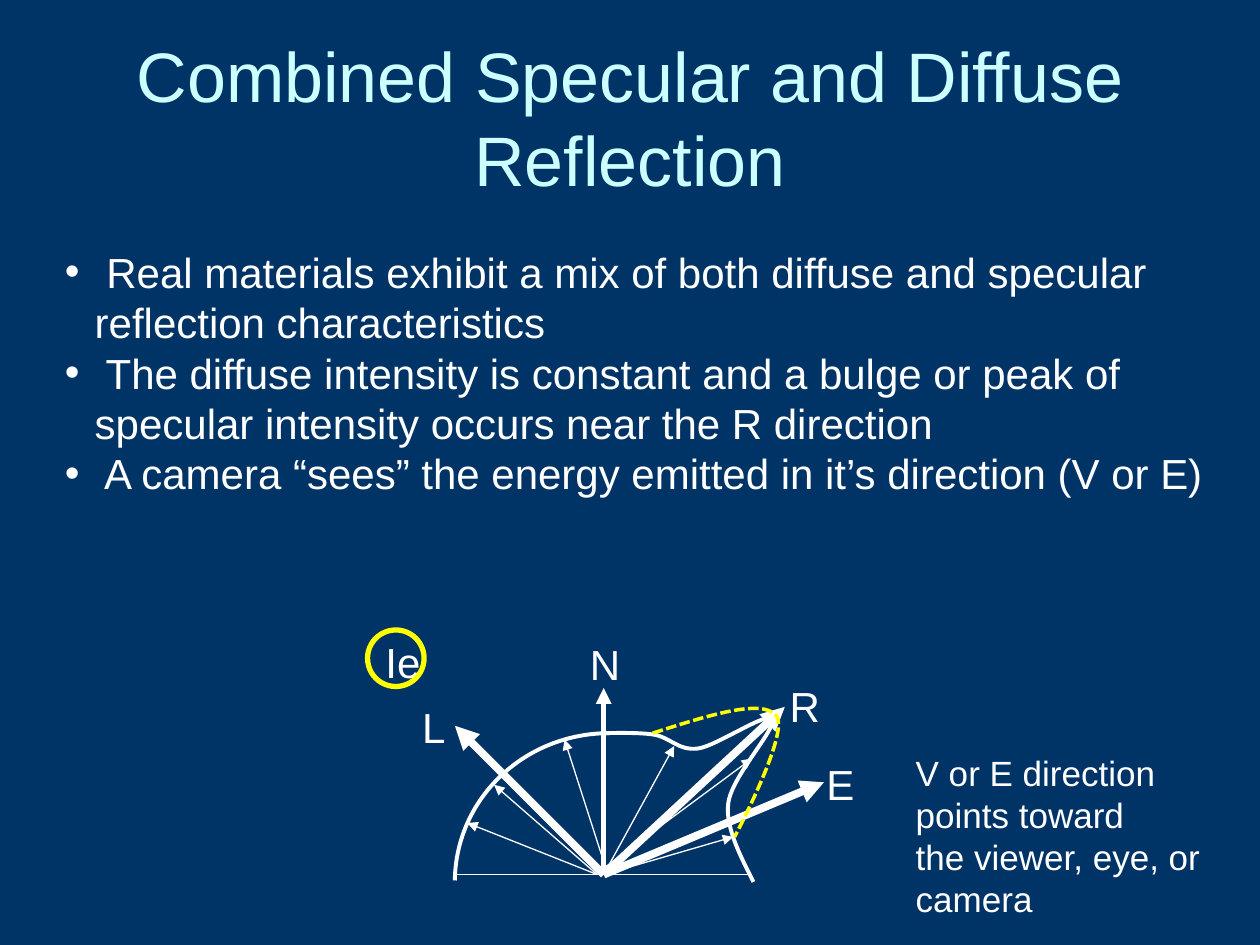
from lxml.etree import SubElement
from pptx import Presentation
from pptx.dml.color import RGBColor
from pptx.enum.dml import MSO_LINE
from pptx.enum.shapes import MSO_CONNECTOR, MSO_SHAPE
from pptx.enum.text import MSO_ANCHOR, PP_ALIGN
from pptx.oxml.ns import qn
from pptx.util import Cm, Pt

# Content; all positions are in cm
TITLE = "Combined Specular and Diffuse Reflection"
BULLETS = [
    " Real materials exhibit a mix of both diffuse and specular reflection characteristics",
    " The diffuse intensity is constant and a bulge or peak of specular intensity "
    "occurs near the R direction",
    " A camera “sees” the energy emitted in it’s direction (V or E)",
]
NOTE = ["V or E direction", "points toward \vthe viewer, eye, or camera"]
LABELS = [  # text, left, top, width
    ("N", 11.64, 12.74, 1.07),
    ("L", 8.26, 14.01, 0.86),
    ("R", 15.67, 13.59, 0.86),
    ("E", 16.41, 15.16, 0.94),
    ("Ie", 7.52, 12.7, 1.52),
]
ORIGIN = (12.17, 17.63)
VECTORS = [  # start, tip, width in points
    (ORIGIN, (12.17, 13.87), 3),
    (ORIGIN, (9.17, 14.63), 4.5),
    (ORIGIN, (15.82, 14.25), 4.5),
    (ORIGIN, (16.61, 15.77), 4.5),
]
DIFFUSE_RAYS = [  # start, tip
    ((12.04, 17.63), (9.42, 16.59)),
    ((12.04, 17.63), (9.96, 15.82)),
    ((12.17, 17.37), (11.38, 14.91)),
    (ORIGIN, (13.59, 15.04)),
    ((12.17, 17.5), (15.16, 15.29)),
    (ORIGIN, (14.78, 16.87)),
]
SURFACE = ((9.17, 17.63), (15.16, 17.63))
# Bezier curves: a start point, then three points per segment
DIFFUSE_ARC = [(12.29, 14.78), (10.57, 14.78), (9.19, 16.1), (9.17, 17.75)]
COMBINED_LOBE = [
    (12.14, 14.78),
    (12.29, 14.78), (12.88, 14.76), (13.18, 14.81),
    (13.51, 14.86), (13.67, 15.14), (14.07, 15.09),
    (14.45, 15.04), (15.47, 14.33), (15.57, 14.5),
    (15.65, 14.71), (14.73, 15.67), (14.68, 16.21),
    (14.61, 16.74), (15.06, 17.5), (15.19, 17.78),
]
SPECULAR_PEAK = [
    (13.16, 14.78),
    (14.25, 14.43), (15.37, 14.07), (15.65, 14.43),
    (15.93, 14.76), (14.81, 16.87), (14.81, 16.87),
]

THEME = {
    "font": "Arial",
    "bg": RGBColor(0x00, 0x33, 0x66),
    "title": RGBColor(0xCC, 0xFF, 0xFF),
    "ink": RGBColor(0xFF, 0xFF, 0xFF),
    "accent": RGBColor(0xFF, 0xFF, 0x00),
    "title_size": 40,
    "body_size": 24,
    "note_size": 20,
}

prs = Presentation()
prs.slide_width, prs.slide_height = Cm(25.4), Cm(19.05)
s = prs.slides.add_slide(prs.slide_layouts[6])
s.background.fill.solid()
s.background.fill.fore_color.rgb = THEME["bg"]


def add_text(lines, box, size=THEME["body_size"], color=THEME["ink"],
             align=PP_ALIGN.LEFT, anchor=MSO_ANCHOR.TOP, wrap=True, bullet=False):
    tf = s.shapes.add_textbox(*map(Cm, box)).text_frame
    tf.word_wrap, tf.vertical_anchor = wrap, anchor
    for i, line in enumerate(lines):
        p = tf.paragraphs[0] if i == 0 else tf.add_paragraph()
        p.text, p.alignment = line, align
        for r in p.runs:
            r.font.name, r.font.size = THEME["font"], Pt(size)
            r.font.color.rgb = color
        if bullet:
            pPr = p._p.get_or_add_pPr()
            pPr.set("marL", str(Cm(0.6)))
            pPr.set("indent", str(-Cm(0.6)))
            SubElement(pPr, qn("a:buFont"), typeface=THEME["font"])
            SubElement(pPr, qn("a:buChar"), char="•")


def add_line(start, end, width, arrow=True):
    sp = s.shapes.add_connector(MSO_CONNECTOR.STRAIGHT, *map(Cm, start + end))
    sp.line.color.rgb, sp.line.width = THEME["ink"], Pt(width)
    if arrow:
        SubElement(sp.line._get_or_add_ln(), qn("a:tailEnd"), type="triangle")
    SubElement(sp._element.spPr, qn("a:effectLst"))


def outline(sp, width, color):
    sp.shadow.inherit = False
    sp.fill.background()
    sp.line.color.rgb, sp.line.width = color, Pt(width)


def add_curve(points, width, color=THEME["ink"], dash=None):
    dots = [(Cm(x), Cm(y)) for x, y in points]
    builder = s.shapes.build_freeform(*dots[0])
    builder.add_line_segments(dots[1:], close=False)
    sp = builder.convert_to_shape()
    # Turn each group of three straight segments into one cubic Bezier
    segments = list(sp._element.iter(qn("a:lnTo")))
    outline_path = segments[0].getparent()
    for i in range(0, len(segments), 3):
        curve = SubElement(outline_path, qn("a:cubicBezTo"))
        for segment in segments[i:i + 3]:
            curve.append(segment[0])
            outline_path.remove(segment)
    outline(sp, width, color)
    if dash:
        sp.line.dash_style = dash


# Title, bullets and note
add_text([TITLE], (1.27, 0.76, 22.86, 3.18), size=THEME["title_size"],
         color=THEME["title"], align=PP_ALIGN.CENTER, anchor=MSO_ANCHOR.MIDDLE)
add_text(BULLETS, (1.06, 4.84, 23.5, 6.35), bullet=True)
add_text(NOTE, (18.21, 15.03, 6.35, 3.66), size=THEME["note_size"])

# Reflection diagram
add_curve(DIFFUSE_ARC, 2.25)
add_line(*SURFACE, 0.75, arrow=False)
for start, tip in DIFFUSE_RAYS:
    add_line(start, tip, 0.75)
add_curve(COMBINED_LOBE, 2.25)
for start, tip, width in VECTORS:
    add_line(start, tip, width)
add_curve(SPECULAR_PEAK, 2, THEME["accent"], MSO_LINE.SQUARE_DOT)

# Labels, with a ring around the emitted intensity
for label, left, top, width in LABELS:
    add_text([label], (left, top, width, 1.27), wrap=False)
ring = s.shapes.add_shape(MSO_SHAPE.OVAL, Cm(7.41), Cm(12.7), Cm(1.14), Cm(1.14))
outline(ring, 3, THEME["accent"])

prs.save("out.pptx")
